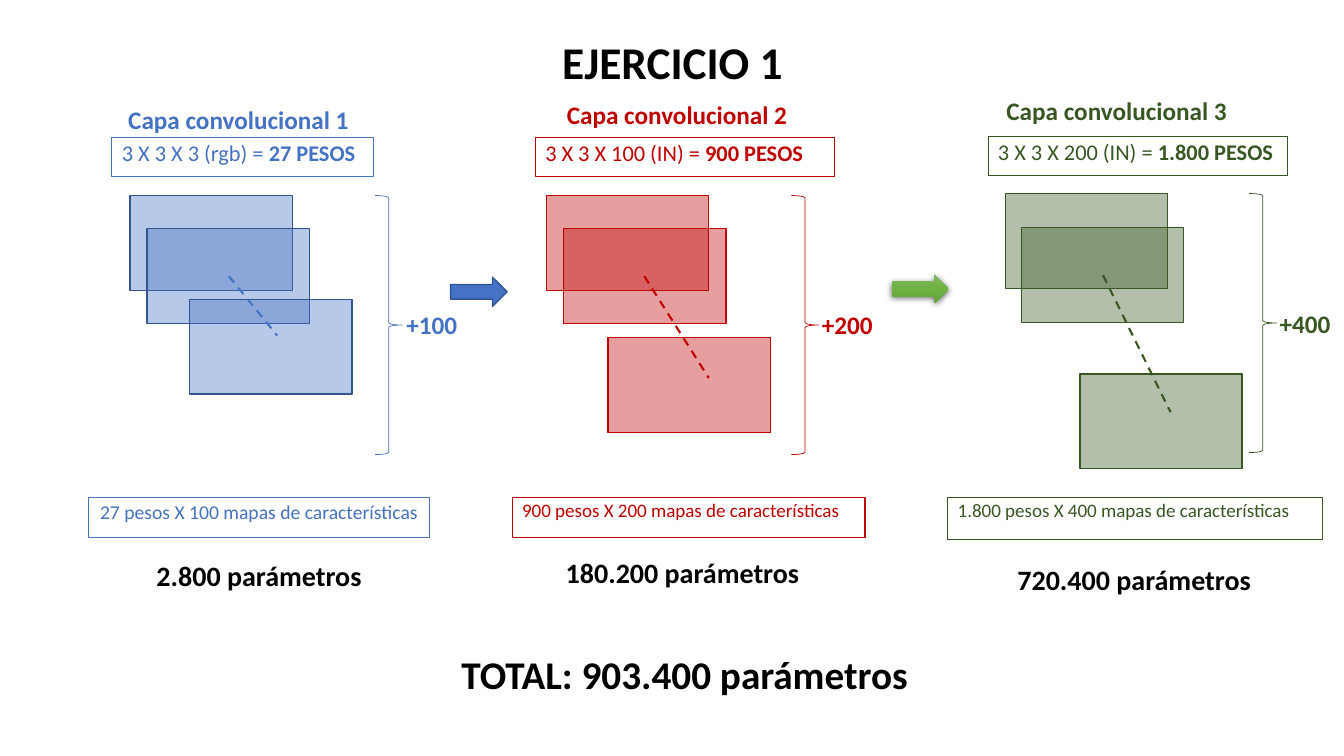
import copy

import lxml.etree
import pptx
import pptx.dml.color
import pptx.enum.dml
import pptx.enum.shapes
import pptx.enum.text
import pptx.oxml.ns
import pptx.util

COLORS = {
    "black": "000000", "blue": "4472C4", "navy": "325491",
    "red": "C00000", "green": "385723",
    "leaf_light": "81B861", "leaf": "6FB242", "leaf_dark": "62A336",
}
SHAPES = pptx.enum.shapes.MSO_SHAPE
ALIGN = pptx.enum.text.PP_ALIGN
qn = pptx.oxml.ns.qn


def rgb(name):
    return pptx.dml.color.RGBColor.from_string(COLORS[name])


def write_text(box, text, bold_tail="", size=18, color="black", bold=False,
               align=ALIGN.CENTER, spacing=0.9, before=10, anchor="TOP"):
    """Fill a box with one paragraph, optionally ending in a bold span."""
    frame = box.text_frame
    frame.word_wrap = True
    frame.vertical_anchor = getattr(pptx.enum.text.MSO_ANCHOR, anchor)
    para = frame.paragraphs[0]
    para.alignment, para.line_spacing = align, spacing
    para.space_before = pptx.util.Pt(before)
    for words, heavy in ((text, bold), (bold_tail, True)):
        if words:
            span = para.add_run()
            span.text = words
            span.font.name, span.font.size = "Calibri", pptx.util.Pt(size)
            span.font.bold = heavy
            span.font.color.rgb = rgb(color)


class Canvas:
    """Current slide, measured in grid cells of a tenth of an inch."""
    CELL = 0.1

    def __init__(self, page):
        self.page = page

    def cells(self, *counts):
        return [pptx.util.Inches(count * self.CELL) for count in counts]

    def text(self, place, text, **style):
        box = self.page.shapes.add_textbox(*self.cells(*place))
        write_text(box, text, **style)

    def shape(self, kind, place, fill=None, line=None, width=1, alpha=None):
        shape = self.page.shapes.add_shape(kind, *self.cells(*place))
        shape.shadow.inherit = False
        if fill:
            shape.fill.solid()
            shape.fill.fore_color.rgb = rgb(fill)
        else:
            shape.fill.background()
        if alpha:
            tint = shape._element.spPr.find(qn("a:solidFill"))[0]
            lxml.etree.SubElement(tint, qn("a:alpha"), val=str(alpha * 1000))
        if line:
            shape.line.color.rgb = rgb(line)
            shape.line.width = pptx.util.Pt(width)
        else:
            shape.line.fill.background()
        return shape

    def framed_text(self, place, text, color, **style):
        box = self.shape(SHAPES.RECTANGLE, place, line=color, width=0.75)
        write_text(box, text, color=color, **style)

    def dashed_line(self, start, end, color):
        line = self.page.shapes.add_connector(
            pptx.enum.shapes.MSO_CONNECTOR.STRAIGHT, *self.cells(*start, *end))
        line.line.color.rgb = rgb(color)
        line.line.width = pptx.util.Pt(1.5)
        line.line.dash_style = pptx.enum.dml.MSO_LINE.DASH
        lxml.etree.SubElement(line._element.spPr, qn("a:effectLst"))

    def glossy_arrow(self, place, colors):
        arrow = self.shape(SHAPES.RIGHT_ARROW, place)
        arrow.fill.gradient()
        arrow.fill.gradient_angle = 270
        stops = arrow._element.spPr.find(qn("a:gradFill")).find(qn("a:gsLst"))
        stops.insert(1, copy.deepcopy(stops[0]))
        for index, (stop, color) in enumerate(zip(stops, colors)):
            stop.set("pos", str(index * 50000))
            for child in list(stop):
                stop.remove(child)
            lxml.etree.SubElement(stop, qn("a:srgbClr"), val=COLORS[color])
        effects = arrow._element.spPr.find(qn("a:effectLst"))
        shadow = lxml.etree.SubElement(
            effects, qn("a:outerShdw"), blurRad=str(pptx.util.Pt(4.5)),
            dist=str(pptx.util.Pt(1.5)), dir="5400000", rotWithShape="0")
        tint = lxml.etree.SubElement(shadow, qn("a:srgbClr"), val=COLORS["black"])
        lxml.etree.SubElement(tint, qn("a:alpha"), val="63000")

    def layer(self, number, color, edge, heading, formula, weights, weights_box,
              maps, cards, dash, brace, gain, product, product_box,
              product_style, total, total_at):
        # Heading and weight formula
        self.text((*heading, 29.7, 3.9), f"Capa convolucional {number}",
                  color=color, bold=True)
        self.framed_text(weights_box, formula, color, bold_tail=weights,
                         size=16, align=ALIGN.LEFT)
        # Stack of feature maps
        for corner in cards:
            self.shape(SHAPES.RECTANGLE, (*corner, 16.1, 9.4), fill=color,
                       line=edge, alpha=38)
        self.dashed_line(*dash, color)
        # Brace with the number of biases
        self.shape(SHAPES.RIGHT_BRACE, (*brace, 2.7, 25.7), line=color, width=0.5)
        self.text((*gain, 8.9, 3.9), f" +{maps}", color=color, bold=True)
        # Product and resulting parameters
        self.framed_text(product_box, f"{product} pesos X {maps} mapas de características",
                         color, **product_style)
        self.text((*total_at, 33.8, 3.9), f"{total} parámetros", size=20,
                  bold=True, spacing=0.8)


SMALL_LEFT = dict(size=13.6, align=ALIGN.LEFT, spacing=0.8)
LAYERS = [
    dict(color="blue", edge="navy", heading=(8.8, 10.2),
         formula="3 X 3 X 3 (rgb) = ", weights="27 PESOS",
         weights_box=(11.1, 13.6, 26, 3.9), maps=100,
         cards=[(12.9, 19.4), (14.6, 22.7), (18.8, 29.7)],
         dash=((22.7, 27.4), (27.5, 33.3)), brace=(37.2, 19.4), gain=(38.1, 30.5),
         product="27", product_box=(8.8, 49.4, 33.8, 3.9),
         product_style=dict(size=14), total="2.800", total_at=(8.8, 55.6)),
    dict(color="red", edge="red", heading=(52.3, 9.7),
         formula="3 X 3 X 100 (IN) = ", weights="900 PESOS",
         weights_box=(53.1, 13.6, 29.7, 3.9), maps=200,
         cards=[(54.2, 19.4), (55.9, 22.7), (60.3, 33.5)],
         dash=((63.9, 27.4), (70.3, 37.5)), brace=(78.5, 19.4), gain=(79.3, 30.5),
         product="900", product_box=(50.8, 49.4, 35, 3.9),
         product_style=SMALL_LEFT, total="180.200", total_at=(50.8, 55.3)),
    dict(color="green", edge="green", heading=(95.9, 9.3),
         formula="3 X 3 X 200 (IN) = ", weights="1.800 PESOS",
         weights_box=(98, 13.5, 29.7, 3.9), maps=400,
         cards=[(99.7, 19.2), (101.3, 22.6), (107.1, 37.1)],
         dash=((109.4, 27.3), (116.1, 40.9)), brace=(123.9, 19.2), gain=(124.7, 30.4),
         product="1.800", product_box=(94, 49.4, 37.2, 4.1),
         product_style=SMALL_LEFT, total="720.400", total_at=(95.6, 56)),
]


def main():
    deck = pptx.Presentation()
    deck.slide_width = pptx.util.Inches(13.33)
    deck.slide_height = pptx.util.Inches(7.5)
    canvas = Canvas(deck.slides.add_slide(deck.slide_layouts[6]))

    # Title
    canvas.text((9.2, 4, 115, 4.9), "EJERCICIO 1", size=32.4, bold=True,
                before=0, anchor="MIDDLE")

    # Convolutional layers
    for number, layer in enumerate(LAYERS, start=1):
        canvas.layer(number, **layer)

    # Grand total
    canvas.text((39.9, 64.9, 56, 4.9), "TOTAL: 903.400 parámetros", size=28,
                bold=True, spacing=0.8)

    # Arrows between layers
    canvas.shape(SHAPES.RIGHT_ARROW, (44.7, 27.5, 5.6, 2.9), fill="blue", line="navy")
    canvas.glossy_arrow((88.5, 27.2, 5.6, 2.9), ("leaf_light", "leaf", "leaf_dark"))

    deck.save("out.pptx")


if __name__ == "__main__":
    main()
